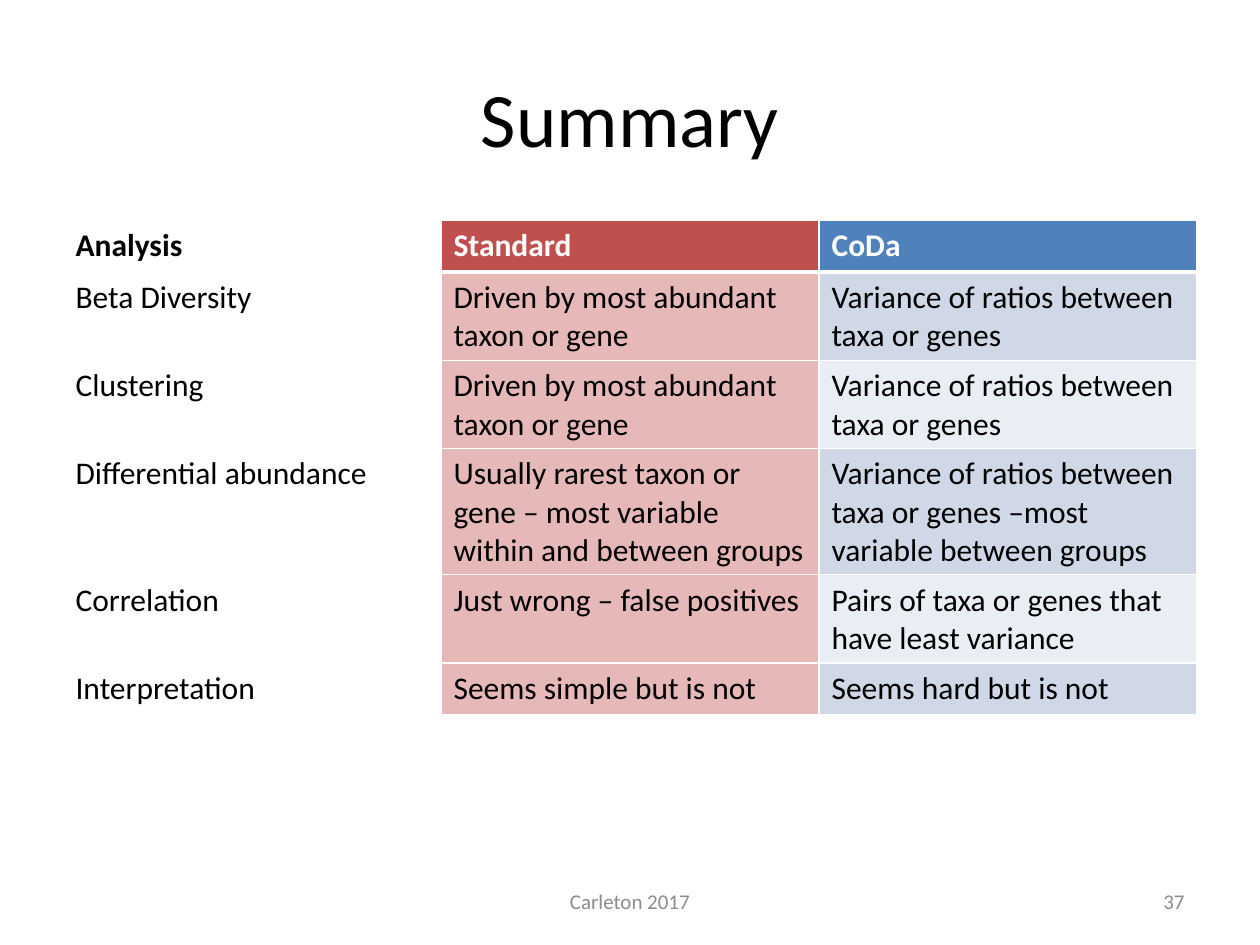
from dataclasses import dataclass

from lxml.etree import SubElement
from pptx import Presentation
from pptx.dml.color import RGBColor
from pptx.enum.text import MSO_ANCHOR, PP_ALIGN
from pptx.oxml.ns import qn
from pptx.util import Inches, Pt


@dataclass(frozen=True)
class Theme:
    font: str = "Calibri"
    title: int = 44
    body: int = 18
    small: int = 12
    black: str = "000000"
    white: str = "FFFFFF"
    grey: str = "8C8C8C"
    red: str = "C0504D"
    pink: str = "E6B9B8"
    blue: str = "4F81BD"
    bands: tuple = ("D0D8E8", "E9EDF4")


THEME = Theme()

ROWS = [
    ("Analysis", "Standard", "CoDa"),
    ("Beta Diversity", "Driven by most abundant taxon or gene",
     "Variance of ratios between taxa or genes"),
    ("Clustering", "Driven by most abundant taxon or gene",
     "Variance of ratios between taxa or genes"),
    ("Differential abundance",
     "Usually rarest taxon or gene – most variable within and between groups",
     "Variance of ratios between taxa or genes –most variable between groups"),
    ("Correlation", "Just wrong – false positives",
     "Pairs of taxa or genes that have least variance"),
    ("Interpretation", "Seems simple but is not", "Seems hard but is not"),
]
HEIGHTS = (0.41, 0.7, 0.7, 1, 0.7, 0.41)


def style(para, size, color, bold=False):
    font = para.font
    font.name = THEME.font
    font.size = Pt(size)
    font.bold = bold
    font.color.rgb = RGBColor.from_string(color)


def add_text(slide, box, text, size, color, align):
    frame = slide.shapes.add_textbox(*map(Inches, box)).text_frame
    frame.word_wrap = True
    frame.vertical_anchor = MSO_ANCHOR.MIDDLE
    para = frame.paragraphs[0]
    para.text = text
    para.alignment = align
    style(para, size, color)


def add_borders(cell, head):
    props = cell._tc.get_or_add_tcPr()
    for side in "LRTB":
        width = 3 if head and side == "B" else 1
        line = SubElement(props, qn(f"a:ln{side}"), w=str(Pt(width)))
        fill = SubElement(line, qn("a:solidFill"))
        SubElement(fill, qn("a:srgbClr"), val=THEME.white)


def fill_cell(cell, text, row, col):
    head = row == 0
    if head:
        fill = (THEME.white, THEME.red, THEME.blue)[col]
    else:
        fill = (THEME.white, THEME.pink, THEME.bands[(row - 1) % 2])[col]
    add_borders(cell, head)
    cell.fill.solid()
    cell.fill.fore_color.rgb = RGBColor.from_string(fill)
    cell.text = text
    color = THEME.white if head and col else THEME.black
    style(cell.text_frame.paragraphs[0], THEME.body, color, head)


def add_grid(slide, left, top, width):
    count = len(ROWS[0])
    box = map(Inches, (left, top, width, sum(HEIGHTS)))
    table = slide.shapes.add_table(len(ROWS), count, *box).table
    for col in table.columns:
        col.width = Inches(width / count)
    for row, (texts, height) in enumerate(zip(ROWS, HEIGHTS)):
        table.rows[row].height = Inches(height)
        for col, text in enumerate(texts):
            fill_cell(table.cell(row, col), text, row, col)


def add_footer(slide, left, top, width, height):
    wide, slim = 3.17, 2.33
    add_text(slide, (left + (width - wide) / 2, top, wide, height),
             "Carleton 2017", THEME.small, THEME.grey, PP_ALIGN.CENTER)
    add_text(slide, (left + width - slim, top, slim, height),
             "37", THEME.small, THEME.grey, PP_ALIGN.RIGHT)


def main():
    deck = Presentation()
    deck.slide_width = Inches(10)
    deck.slide_height = Inches(7.5)
    slide = deck.slides.add_slide(deck.slide_layouts[6])
    left, width = 0.5, 9
    add_text(slide, (left, 0.3, width, 1.25), "Summary",
             THEME.title, THEME.black, PP_ALIGN.CENTER)
    add_grid(slide, left, 1.75, width)
    add_footer(slide, left, 6.95, width, 0.4)
    deck.save("out.pptx")


if __name__ == "__main__":
    main()
